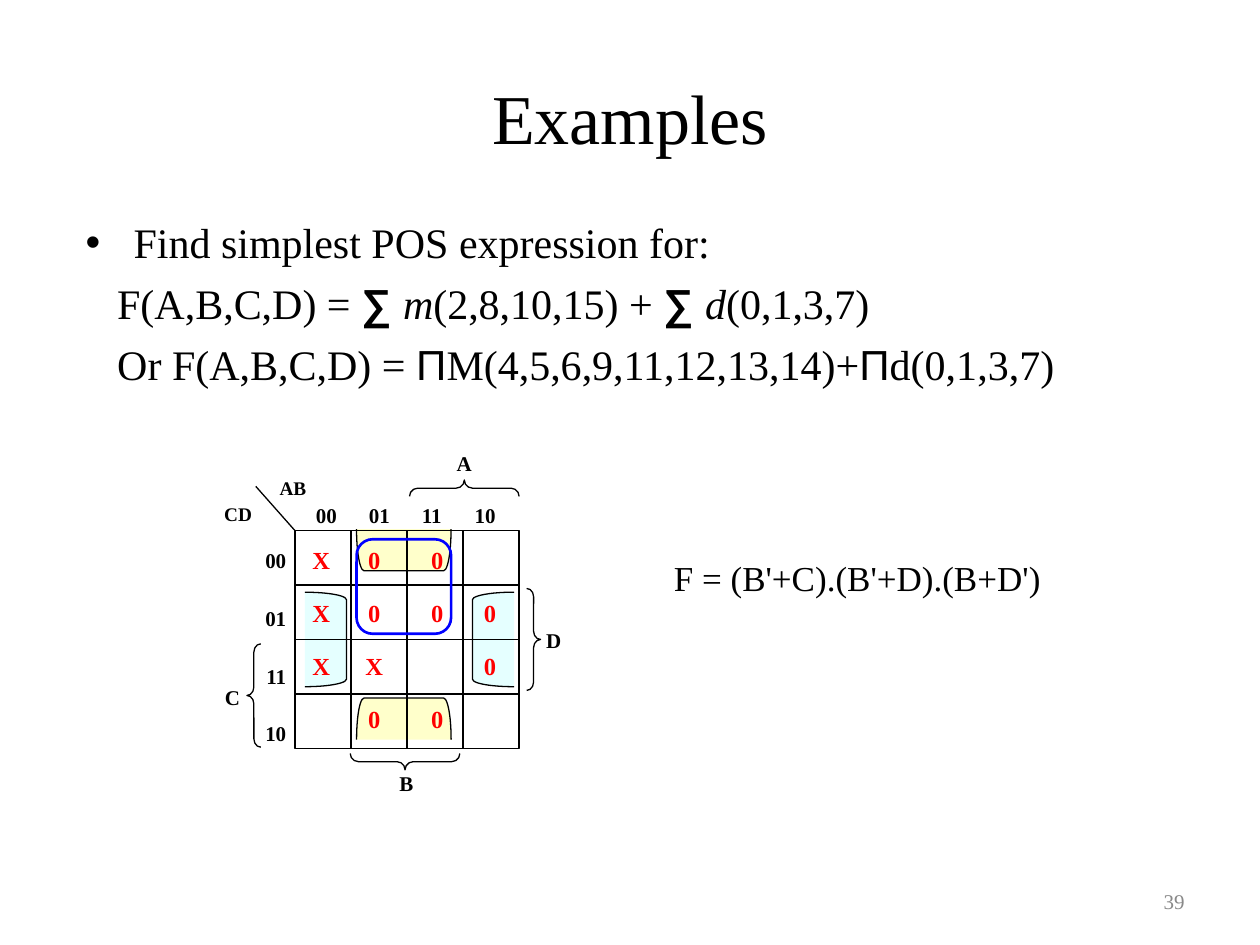
from lxml import etree
from pptx import Presentation
from pptx.dml.color import RGBColor
from pptx.enum.shapes import MSO_CONNECTOR, MSO_SHAPE
from pptx.enum.text import MSO_ANCHOR, MSO_AUTO_SIZE, PP_ALIGN
from pptx.oxml.ns import qn
from pptx.util import Inches, Pt

LEFT, CENTER, RIGHT = PP_ALIGN.LEFT, PP_ALIGN.CENTER, PP_ALIGN.RIGHT
TOP, MIDDLE = MSO_ANCHOR.TOP, MSO_ANCHOR.MIDDLE
STRAIGHT = MSO_CONNECTOR.STRAIGHT
LEFT_BRACKET, RIGHT_BRACKET = MSO_SHAPE.LEFT_BRACKET, MSO_SHAPE.RIGHT_BRACKET
LEFT_BRACE, RIGHT_BRACE = MSO_SHAPE.LEFT_BRACE, MSO_SHAPE.RIGHT_BRACE
RECTANGLE, ROUNDED = MSO_SHAPE.RECTANGLE, MSO_SHAPE.ROUNDED_RECTANGLE
SERIF, SANS = "Times New Roman", "Arial"
BLACK, RED, BLUE, GRAY = "000000", "FF0000", "0000FF", "898989"
CYAN, YELLOW = "CCFFFF", "FFFF99"

MAP_LEFT, MAP_TOP, MAP_WIDTH, MAP_HEIGHT = 2.34, 4.21, 1.78, 1.73
MARK_COLUMNS = (2.33, 2.75, 3.25, 3.67)
MARK_TOP, MARK_PITCH = 4.28, 0.42
MARK_ROWS = ("X00 ", "X000", "XX 0", " 00 ")
GRAY_CODE = ("00", "01", "11", "10")


def color(hex_code):
    return RGBColor.from_string(hex_code)


def add_run(paragraph, text, size, hex_code=BLACK, font=SERIF, bold=False, italic=False):
    run = paragraph.add_run()
    run.text = text
    run.font.size = Pt(size)
    run.font.name = font
    run.font.bold = bold
    run.font.italic = italic
    run.font.color.rgb = color(hex_code)


def place(shape, left, top, width, height):
    shape.left, shape.top = Inches(left), Inches(top)
    shape.width, shape.height = Inches(width), Inches(height)


def set_indent(paragraph, margin, first_line, bullet=None):
    properties = paragraph._p.get_or_add_pPr()
    properties.set("marL", str(Inches(margin)))
    properties.set("indent", str(Inches(first_line)))
    if bullet:
        etree.SubElement(properties, qn("a:buChar")).set("char", bullet)
    else:
        etree.SubElement(properties, qn("a:buNone"))


def add_label(slide, box, text, size, hex_code=BLACK, bold=True, align=CENTER, anchor=TOP):
    label = slide.shapes.add_textbox(*map(Inches, box))
    frame = label.text_frame
    frame.word_wrap = True
    frame.vertical_anchor = anchor
    paragraph = frame.paragraphs[0]
    paragraph.alignment = align
    add_run(paragraph, text, size, hex_code, bold=bold)
    return frame


def add_outline(slide, kind, box, adjustment=None, fill=None, line=BLACK, weight=0.75, rotation=0):
    """Draw a preset outline; a fill is half transparent."""
    shape = slide.shapes.add_shape(kind, *map(Inches, box))
    shape.shadow.inherit = False
    shape.rotation = rotation
    shape.line.color.rgb = color(line)
    shape.line.width = Pt(weight)
    if adjustment is not None:
        shape.adjustments[0] = adjustment
    if fill:
        shape.fill.solid()
        shape.fill.fore_color.rgb = color(fill)
        rgb = shape.fill._xPr.find(".//" + qn("a:srgbClr"))
        etree.SubElement(rgb, qn("a:alpha")).set("val", "50000")
    else:
        shape.fill.background()


def add_line(slide, x1, y1, x2, y2):
    line = slide.shapes.add_connector(STRAIGHT, *map(Inches, (x1, y1, x2, y2)))
    line.line.color.rgb = color(BLACK)
    line.line.width = Pt(0.75)
    etree.SubElement(line._element.spPr, qn("a:effectLst"))


def fill_title(slide):
    title = slide.shapes.title
    place(title, 0.5, 0.3, 9, 1.25)
    title.text_frame.vertical_anchor = MIDDLE
    paragraph = title.text_frame.paragraphs[0]
    paragraph.alignment = CENTER
    add_run(paragraph, "Examples", 40)


def fill_body(slide):
    body = slide.placeholders[1]
    place(body, 0.58, 1.67, 8.75, 2)
    frame = body.text_frame
    frame.auto_size = MSO_AUTO_SIZE.NONE
    symbol, italic = {"font": SANS, "bold": True}, {"italic": True}
    lines = (
        [("Find simplest POS expression for:", {})],
        [("F(A,B,C,D) = ", {}), ("∑ ", symbol), ("m", italic), ("(2,8,10,15) + ", {}),
         ("∑ ", symbol), ("d", italic), ("(0,1,3,7)", {})],
        [("Or F(A,B,C,D) = ", {}), ("Π", {"font": SANS}), ("M(4,5,6,9,11,12,13,14)+", {}),
         ("Π", {"font": SANS}), ("d(0,1,3,7)", {})],
    )
    for index, runs in enumerate(lines):
        paragraph = frame.add_paragraph() if index else frame.paragraphs[0]
        if index:
            set_indent(paragraph, 0.25, 0)
        else:
            set_indent(paragraph, 0.38, -0.38, "•")
        paragraph.space_before = Pt(6 if index else 0)
        for text, style in runs:
            add_run(paragraph, text, 24, **style)


def add_groups(slide):
    """Shade the zero groups that wrap around the edges of the map."""
    for kind, box, fill, rotation in (
        (LEFT_BRACKET, (3.75, 4.7, 0.33, 0.75), CYAN, 0),
        (RIGHT_BRACKET, (2.42, 4.7, 0.33, 0.75), CYAN, 0),
        (LEFT_BRACKET, (3.04, 5.33, 0.33, 0.75), YELLOW, 90),
        (LEFT_BRACKET, (3.04, 3.99, 0.33, 0.75), YELLOW, 270),
    ):
        add_outline(slide, kind, box, 0.18, fill, rotation=rotation)


def add_grid(slide):
    right, bottom = MAP_LEFT + MAP_WIDTH, MAP_TOP + MAP_HEIGHT
    add_outline(slide, RECTANGLE, (MAP_LEFT, MAP_TOP, MAP_WIDTH, MAP_HEIGHT))
    for step in range(1, 4):
        x = MAP_LEFT + MAP_WIDTH * step / 4
        y = MAP_TOP + MAP_HEIGHT * step / 4
        add_line(slide, x, MAP_TOP, x, bottom)
        add_line(slide, MAP_LEFT, y, right, y)
    add_line(slide, MAP_LEFT, MAP_TOP, 2.03, 3.86)


def add_headings(slide):
    columns = add_label(slide, (2.41, 3.94, 1.66, 0.35), "\t".join(GRAY_CODE), 12, align=LEFT)
    properties = columns.paragraphs[0]._p.get_or_add_pPr()
    tabs = etree.SubElement(properties, qn("a:tabLst"))
    for step in range(1, 4):
        etree.SubElement(tabs, qn("a:tab"), pos=str(Inches(MARK_PITCH * step)), algn="l")

    rows = add_label(slide, (1.98, 4.3, 0.39, 1.79), GRAY_CODE[0], 12, align=RIGHT)
    for code in GRAY_CODE[1:]:
        paragraph = rows.add_paragraph()
        paragraph.alignment = RIGHT
        paragraph.space_before = Pt(18.5)
        add_run(paragraph, code, 12, bold=True)

    add_label(slide, (1.58, 3.94, 0.62, 0.29), "CD", 11)
    add_label(slide, (2.07, 3.73, 0.51, 0.29), "AB", 11)


def add_variables(slide):
    for name, label_at, kind, brace_box, adjustment, rotation in (
        ("A", (3.52, 3.53), LEFT_BRACE, (3.62, 3.44, 0.13, 0.87), 0.5, 90),
        ("B", (3.06, 6.07), LEFT_BRACE, (3.15, 5.61, 0.13, 0.87), 0.5, 270),
        ("C", (1.68, 5.38), LEFT_BRACE, (1.96, 5.11, 0.11, 0.82), 0.6, 0),
        ("D", (4.23, 4.93), RIGHT_BRACE, (4.18, 4.67, 0.11, 0.81), 0.6, 0),
    ):
        add_outline(slide, kind, brace_box, adjustment, rotation=rotation)
        add_label(slide, (*label_at, 0.33, 0.3), name, 12)


def add_marks(slide):
    for row, marks in enumerate(MARK_ROWS):
        for left, mark in zip(MARK_COLUMNS, marks):
            if mark != " ":
                top = MARK_TOP + MARK_PITCH * row
                add_label(slide, (left, top, 0.44, 0.35), mark, 14, RED)


def main():
    deck = Presentation()
    deck.slide_width, deck.slide_height = Inches(10), Inches(7.5)
    slide = deck.slides.add_slide(deck.slide_layouts[1])
    fill_title(slide)
    fill_body(slide)
    add_label(slide, (7.17, 6.95, 2.33, 0.4), "39", 12, GRAY, False, RIGHT, MIDDLE)
    add_label(slide, (5.25, 4.37, 4.17, 0.44), "F = (B'+C).(B'+D).(B+D')", 20, bold=False, align=LEFT)
    add_groups(slide)
    add_grid(slide)
    add_headings(slide)
    add_variables(slide)
    add_marks(slide)
    add_outline(slide, ROUNDED, (2.83, 4.28, 0.75, 0.75), 0.17, line=BLUE, weight=1.5)
    deck.save("out.pptx")


if __name__ == "__main__":
    main()
